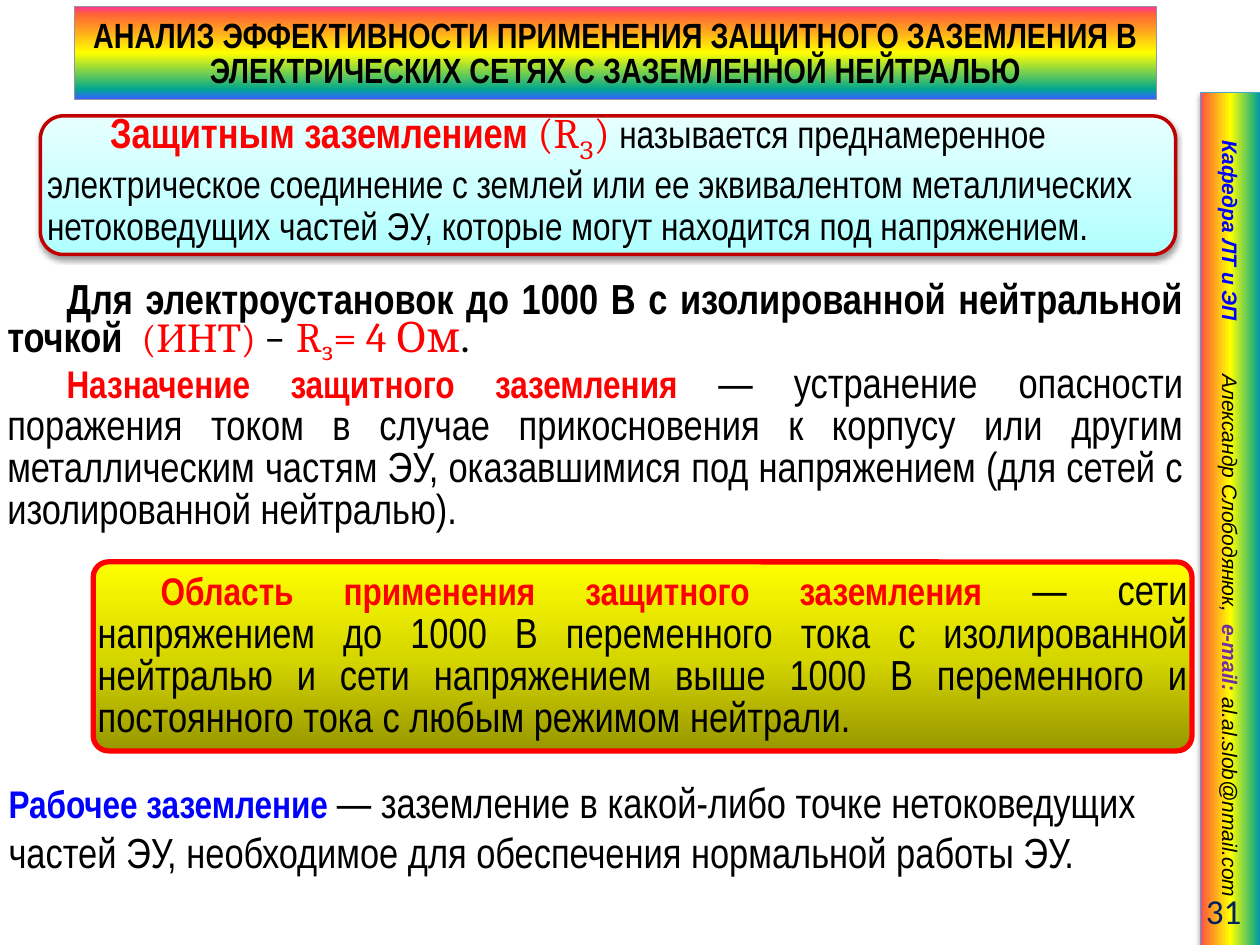
from lxml.etree import SubElement
from pptx import Presentation
from pptx.dml.color import RGBColor
from pptx.enum.shapes import MSO_SHAPE
from pptx.enum.text import MSO_ANCHOR, MSO_AUTO_SIZE, PP_ALIGN
from pptx.oxml.ns import qn
from pptx.util import Inches, Pt

THEME = {
    "black": "000000", "red": "FF0000", "blue": "0000FF", "purple": "7030A0",
    "navy": "002060", "dark_red": "C00000", "grey": "969696", "teal": "46AAC5",
    "rainbow": ["FF3399", "FF6633", "FFFF00", "01A78F", "3366FF"],
    "olive": ["979700", "D7D700", "FFFF00"],
    "aqua": ["AFFFFF", "CEFFFF", "E7FFFF"],
    "narrow": "Arial Narrow", "serif": "Cambria", "sans": "Arial", "plain": "Calibri",
    "body": 24, "term": 22, "title": 20, "side": 12, "wide": 28,
}
T = THEME


def add_run(p, text, size=T["body"], font=T["narrow"], color="black", bold=False,
            italic=False, outline=False, baseline=0, spacing=0):
    r = p.add_run()
    r.text = text
    r.font.size, r.font.name = Pt(size), font
    r.font.bold, r.font.italic = bold, italic
    r.font.color.rgb = RGBColor.from_string(T[color])
    rPr = r.font._element
    if baseline:
        rPr.set("baseline", str(baseline * 1000))
    if spacing:
        rPr.set("spc", str(spacing * 100))
    if outline:
        ln = SubElement(rPr, qn("a:ln"), w=str(Pt(0.07)))
        clr = SubElement(SubElement(ln, qn("a:solidFill")), qn("a:srgbClr"), val=T["black"])
        SubElement(clr, qn("a:alpha"), val="55000")
        SubElement(ln, qn("a:prstDash"), val="solid")
        rPr.insert(0, ln)


def style_box(s, colors, positions, angle, line, width, shadow=False):
    s.fill.gradient()
    s.fill.gradient_angle = angle
    spPr = s._element.spPr
    stops = spPr.find(".//" + qn("a:gsLst"))
    for old in list(stops):
        stops.remove(old)
    for color, pos in zip(T[colors], positions):
        gs = SubElement(stops, qn("a:gs"), pos=str(pos * 1000))
        SubElement(gs, qn("a:srgbClr"), val=color)
    s.line.color.rgb = RGBColor.from_string(T[line])
    s.line.width = Pt(width)
    s.shadow.inherit = False
    if shadow:
        outer = SubElement(spPr.find(qn("a:effectLst")), qn("a:outerShdw"),
                           blurRad=str(Pt(3.1)), dist=str(Pt(1.6)), dir="5400000")
        clr = SubElement(outer, qn("a:srgbClr"), val=T["black"])
        SubElement(clr, qn("a:alpha"), val="38000")
    s.text_frame.word_wrap = True
    s.text_frame.vertical_anchor = MSO_ANCHOR.MIDDLE


prs = Presentation()
prs.slide_width, prs.slide_height = Inches(10), Inches(7.5)
slide = prs.slides.add_slide(prs.slide_layouts[5])

# Title
s = slide.shapes.title
s.left, s.top, s.width, s.height = Inches(0.59), Inches(0.05), Inches(8.59), Inches(0.74)
geom = SubElement(s._element.spPr, qn("a:prstGeom"), prst="roundRect")
SubElement(geom, qn("a:avLst"))
style_box(s, "rainbow", [0, 9, 50, 89, 99], 270, "grey", 0.75)
tf = s.text_frame
tf.auto_size = MSO_AUTO_SIZE.NONE
tf.margin_left = tf.margin_top = tf.margin_right = Inches(0.04)
tf.margin_bottom = 0
p = tf.paragraphs[0]
p.alignment, p.line_spacing = PP_ALIGN.CENTER, Pt(20)
add_run(p, "АНАЛИЗ ЭФФЕКТИВНОСТИ ПРИМЕНЕНИЯ ЗАЩИТНОГО ЗАЗЕМЛЕНИЯ В "
        "ЭЛЕКТРИЧЕСКИХ СЕТЯХ С ЗАЗЕМЛЕННОЙ НЕЙТРАЛЬЮ", size=T["title"], bold=True)

# Side bar with department and author
s = slide.shapes.add_shape(MSO_SHAPE.RECTANGLE, Inches(6.38), Inches(3.88),
                           Inches(6.77), Inches(0.48))
s.rotation = 90
style_box(s, "rainbow", [0, 6, 50, 96, 100], 90, "teal", 0.75, shadow=True)
p = s.text_frame.paragraphs[0]
p.alignment = PP_ALIGN.CENTER
side = {"size": T["side"], "font": T["sans"], "italic": True}
add_run(p, "Кафедра ЛТ и ЭП", color="blue", bold=True, **side)
add_run(p, " ", spacing=27, **side)
add_run(p, "Александр Слободянюк,  ", **side)
add_run(p, "e-mail: ", color="purple", bold=True, **side)
add_run(p, "al.al.slob@nmail.com", **side)

# Slide number
s = slide.shapes.add_textbox(Inches(8.86), Inches(7.03), Inches(1.09), Inches(0.4))
tf = s.text_frame
tf.word_wrap, tf.vertical_anchor = True, MSO_ANCHOR.MIDDLE
p = tf.paragraphs[0]
p.alignment = PP_ALIGN.RIGHT
add_run(p, "31", size=T["title"], font=T["plain"], color="navy")

# Resistance norm and purpose of protective earthing
term = {"size": T["term"], "color": "red", "bold": True, "outline": True}
symbol = {"font": T["serif"], "color": "red", "outline": True}
s = slide.shapes.add_textbox(Inches(-0.04), Inches(2.18), Inches(9.53), Inches(2.12))
tf = s.text_frame
tf.word_wrap = True
norm, purpose = tf.paragraphs[0], tf.add_paragraph()
for p in (norm, purpose):
    p.alignment, p.line_spacing = PP_ALIGN.JUSTIFY, Pt(24)
    p._p.get_or_add_pPr().set("indent", str(Inches(0.47)))
add_run(norm, "Для электроустановок до 1000 В с изолированной нейтральной точкой  ", bold=True)
add_run(norm, "(ИНТ) ", size=T["term"], **symbol)
add_run(norm, "–", font=T["plain"])
add_run(norm, " ", size=T["wide"], **symbol)
add_run(norm, "R", **symbol)
add_run(norm, "з", baseline=-18, **symbol)
add_run(norm, "= 4 Ом", **symbol)
add_run(norm, ".", font=T["plain"])
add_run(purpose, "Назначение защитного заземления ", **term)
add_run(purpose, "— устранение опасности поражения током в случае прикосновения к корпусу "
        "или другим металлическим частям ЭУ, оказавшимися под напряжением "
        "(для сетей с изолированной нейтралью). ")

# Working earthing
s = slide.shapes.add_textbox(Inches(-0.03), Inches(6.11), Inches(9.53), Inches(0.91))
s.text_frame.word_wrap = True
p = s.text_frame.paragraphs[0]
add_run(p, "Рабочее заземление ", **{**term, "color": "blue"})
add_run(p, "— заземление в какой-либо точке нетоковедущих частей ЭУ, "
        "необходимое для обеспечения нормальной работы ЭУ.")

# Scope and definition boxes
scope = slide.shapes.add_shape(MSO_SHAPE.ROUNDED_RECTANGLE, Inches(0.74), Inches(4.46),
                               Inches(8.72), Inches(1.5))
scope.adjustments[0] = 0.08
style_box(scope, "olive", [0, 50, 100], 90, "red", 3)
definition = slide.shapes.add_shape(MSO_SHAPE.ROUNDED_RECTANGLE, Inches(0.32), Inches(0.92),
                                    Inches(9.01), Inches(1.1))
style_box(definition, "aqua", [0, 50, 100], 90, "dark_red", 2, shadow=True)
for s, margin, align in ((scope, 0.04, PP_ALIGN.JUSTIFY), (definition, 0, PP_ALIGN.LEFT)):
    tf = s.text_frame
    tf.margin_left = tf.margin_right = 0
    tf.margin_top = tf.margin_bottom = Inches(margin)
    p = tf.paragraphs[0]
    p.alignment, p.line_spacing = align, Pt(24)
    p._p.get_or_add_pPr().set("indent", str(Inches(0.5)))

p = scope.text_frame.paragraphs[0]
add_run(p, "Область применения защитного заземления ", **term)
add_run(p, "— сети напряжением до 1000 В переменного тока с изолированной нейтралью и сети "
        "напряжением выше 1000 В переменного и постоянного тока с любым режимом нейтрали.")

p = definition.text_frame.paragraphs[0]
add_run(p, "Защитным заземлением ", **{**term, "size": T["body"]})
add_run(p, "(R", **symbol)
add_run(p, "З", baseline=-25, **symbol)
add_run(p, ") ", **symbol)
add_run(p, "называется преднамеренное электрическое соединение с землей или ее эквивалентом "
        "металлических нетоковедущих частей ЭУ, которые могут находится под напряжением.",
        size=T["term"])

prs.save("out.pptx")
